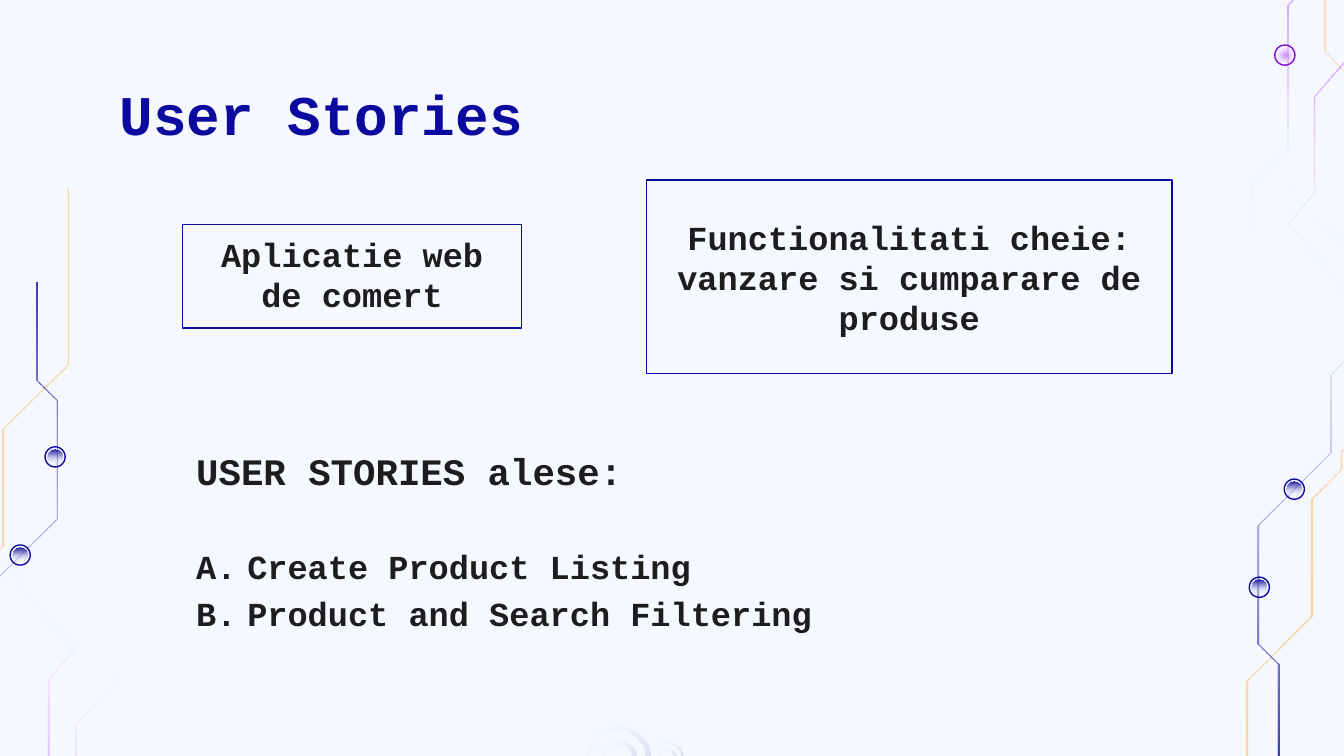
from lxml import etree
from pptx import Presentation
from pptx.dml.color import RGBColor
from pptx.enum.shapes import MSO_SHAPE
from pptx.enum.text import MSO_ANCHOR, MSO_AUTO_SIZE, PP_ALIGN
from pptx.oxml.ns import qn
from pptx.util import Inches, Pt

TOP, MIDDLE, BOTTOM = MSO_ANCHOR.TOP, MSO_ANCHOR.MIDDLE, MSO_ANCHOR.BOTTOM
LEFT, CENTER = PP_ALIGN.LEFT, PP_ALIGN.CENTER
OVAL, DONUT = MSO_SHAPE.OVAL, MSO_SHAPE.DONUT

THEME = dict(font="Courier New", bg="F5F8FF", navy="0C0A9E", ink="1D1D1D",
             orange="FF9900", purple="9900FF", violet="8208D5", white="FFFFFF",
             title=30, heading=20, body=18)

TEXTS = [
    dict(idx=0, at=(0.79, 0.49, 8.43, 0.63), lines=["User Stories"],
         size="title", color="navy", anchor=TOP),
    dict(idx=1, at=(1.36, 1.67, 2.52, 0.77), lines=["Aplicatie web de comert"],
         anchor=BOTTOM, align=CENTER, framed=True),
    dict(idx=3, at=(4.81, 1.34, 3.91, 1.44),
         lines=["Functionalitati cheie: vanzare si cumparare de produse"],
         anchor=MIDDLE, align=CENTER, framed=True),
    dict(idx=2, at=(1.36, 3.33, 3.64, 0.44), lines=["USER STORIES alese:"],
         size="heading", anchor=BOTTOM, spacing=1.15),
    dict(idx=4, at=(1.36, 3.78, 5.84, 2.1),
         lines=["Create Product Listing", "Product and Search Filtering"],
         anchor=BOTTOM, spacing=1.15, lettered=True, bottom=1.17),
]

CIRCUIT_TURN = (9.78, 7.77)
ACCENT_TURN = (10.14, 6.49)
TRACES = [
    ([(0.5, 1.4), (0.5, 2.71), (0.02, 3.19), (0.02, 4.06), (-0.2, 4.28), (-0.2, 4.41),
      (-0.32, 4.53), (-0.32, 5.07), (-0.56, 5.32), (-0.56, 5.67), (-0.74, 5.84),
      (-0.74, 6.72), (-0.08, 7.38), (-0.08, 8.15)], "orange", (38, 22), 90, CIRCUIT_TURN),
    ([(0.27, 2.1), (0.27, 2.83), (0.42, 2.98), (0.42, 3.86), (-0.12, 4.4), (-0.12, 4.98),
      (-0.36, 5.23), (-0.36, 5.8), (0.16, 6.32), (0.16, 6.71)],
     "navy", (80, 0), 90, CIRCUIT_TURN),
    ([(0.83, 4.65), (0.83, 5.13), (0.56, 5.39), (0.56, 6.45), (0.21, 6.81)],
     "purple", (47, 0), 270, ACCENT_TURN),
    ([(0.15, 4.13), (0.15, 4.37), (0.55, 4.83), (0.36, 5.06), (0.36, 5.77), (-0.19, 6.41)],
     "purple", (47, 0), 270, ACCENT_TURN),
]
TRACE_WIDTH = 0.014
NODES = [(0.41, 3.4), (0.15, 4.13)]
ACCENT_NODE = (9.56, 0.41)
RINGS = [(4.6, 0.48, 0.04), (4.6, 0.27, 0.04), (4.96, 0.25, 0.02), (4.96, 0.14, 0.02)]
RING_Y = 5.64

prs = Presentation()
prs.slide_width = Inches(10)
prs.slide_height = prs.slide_width * 9 // 16
s = prs.slides.add_slide(prs.slide_layouts[4])


def rgb(name):
    return RGBColor.from_string(THEME[name])


def turn(point, total):
    return total[0] - point[0], total[1] - point[1]


def gradient(sp, color, alphas, angle=None):
    sp.fill.background()
    old = sp._element.spPr.find(qn("a:noFill"))
    grad = etree.Element(qn("a:gradFill"), rotWithShape="1")
    stops = etree.SubElement(grad, qn("a:gsLst"))
    for pos, alpha in zip((0, 100000), alphas):
        gs = etree.SubElement(stops, qn("a:gs"), pos=str(pos))
        clr = etree.SubElement(gs, qn("a:srgbClr"), val=THEME[color if alpha else "white"])
        etree.SubElement(clr, qn("a:alpha"), val=str(alpha * 1000))
    if angle is None:
        radial = etree.SubElement(grad, qn("a:path"), {"path": "circle"})
        etree.SubElement(radial, qn("a:fillToRect"), l="50000", t="50000", r="50000", b="50000")
    else:
        etree.SubElement(grad, qn("a:lin"), ang=str(angle * 60000), scaled="0")
    old.getparent().replace(old, grad)
    sp.line.fill.background()
    sp.shadow.inherit = False


def trace(points, color, alphas, angle):
    half = TRACE_WIDTH / 2
    outline = [(x + half, y) for x, y in points] + [(x - half, y) for x, y in reversed(points)]
    outline = [(Inches(x), Inches(y)) for x, y in outline]
    path = s.shapes.build_freeform(*outline[0])
    path.add_line_segments(outline[1:], close=True)
    gradient(path.convert_to_shape(), color, alphas, angle)


def round_shape(kind, center, size):
    x, y = center
    return s.shapes.add_shape(kind, Inches(x - size / 2), Inches(y - size / 2),
                              Inches(size), Inches(size))


def node(center, line, color, alphas, angle):
    rim = round_shape(OVAL, center, 0.15)
    rim.shadow.inherit = False
    rim.fill.background()
    rim.line.color.rgb, rim.line.width = rgb(line), Pt(0.75)
    gradient(round_shape(OVAL, center, 0.11), color, alphas, angle)


def write(item):
    sp = next(p for p in s.placeholders if p.placeholder_format.idx == item["idx"])
    sp.left, sp.top, sp.width, sp.height = map(Inches, item["at"])
    if item.get("framed"):
        sp.line.color.rgb, sp.line.width = rgb("navy"), Pt(0.75)
    tf = sp.text_frame
    tf.word_wrap, tf.auto_size, tf.vertical_anchor = True, MSO_AUTO_SIZE.NONE, item["anchor"]
    tf.margin_left = tf.margin_right = tf.margin_top = Inches(0.1)
    tf.margin_bottom = Inches(item.get("bottom", 0.1))
    for i, line in enumerate(item["lines"]):
        p = tf.add_paragraph() if i else tf.paragraphs[0]
        p.alignment = item.get("align", LEFT)
        p.line_spacing = item.get("spacing", 1.0)
        p.space_before = p.space_after = Pt(0)
        pPr = p._p.get_or_add_pPr()
        lettered = item.get("lettered")
        indent = Inches(0.38) if lettered else 0
        pPr.set("marL", str(indent))
        pPr.set("indent", str(-indent))
        if lettered:
            clr = etree.SubElement(pPr, qn("a:buClr"))
            etree.SubElement(clr, qn("a:srgbClr"), val=THEME["ink"])
            etree.SubElement(pPr, qn("a:buFont"), typeface=THEME["font"])
            etree.SubElement(pPr, qn("a:buAutoNum"), type="alphaUcPeriod")
        else:
            etree.SubElement(pPr, qn("a:buNone"))
        r = p.add_run()
        r.text = line
        r.font.name, r.font.bold = THEME["font"], True
        r.font.size = Pt(THEME[item.get("size", "body")])
        r.font.color.rgb = rgb(item.get("color", "ink"))


s.background.fill.solid()
s.background.fill.fore_color.rgb = rgb("bg")
for points, color, alphas, angle, total in TRACES:
    trace(points, color, alphas, angle)
    trace([turn(pt, total) for pt in points], color, alphas, (angle + 180) % 360)
for center in NODES:
    for spot in (center, turn(center, CIRCUIT_TURN)):
        node(spot, "navy", "navy", (100, 0), 90)
node(ACCENT_NODE, "violet", "purple", (47, 0), None)
for x, size, band in RINGS:
    ring = round_shape(DONUT, (x, RING_Y), size)
    ring.adjustments[0] = band / size
    gradient(ring, "navy", (20, 0), 225)
for item in TEXTS:
    write(item)

prs.save("out.pptx")
